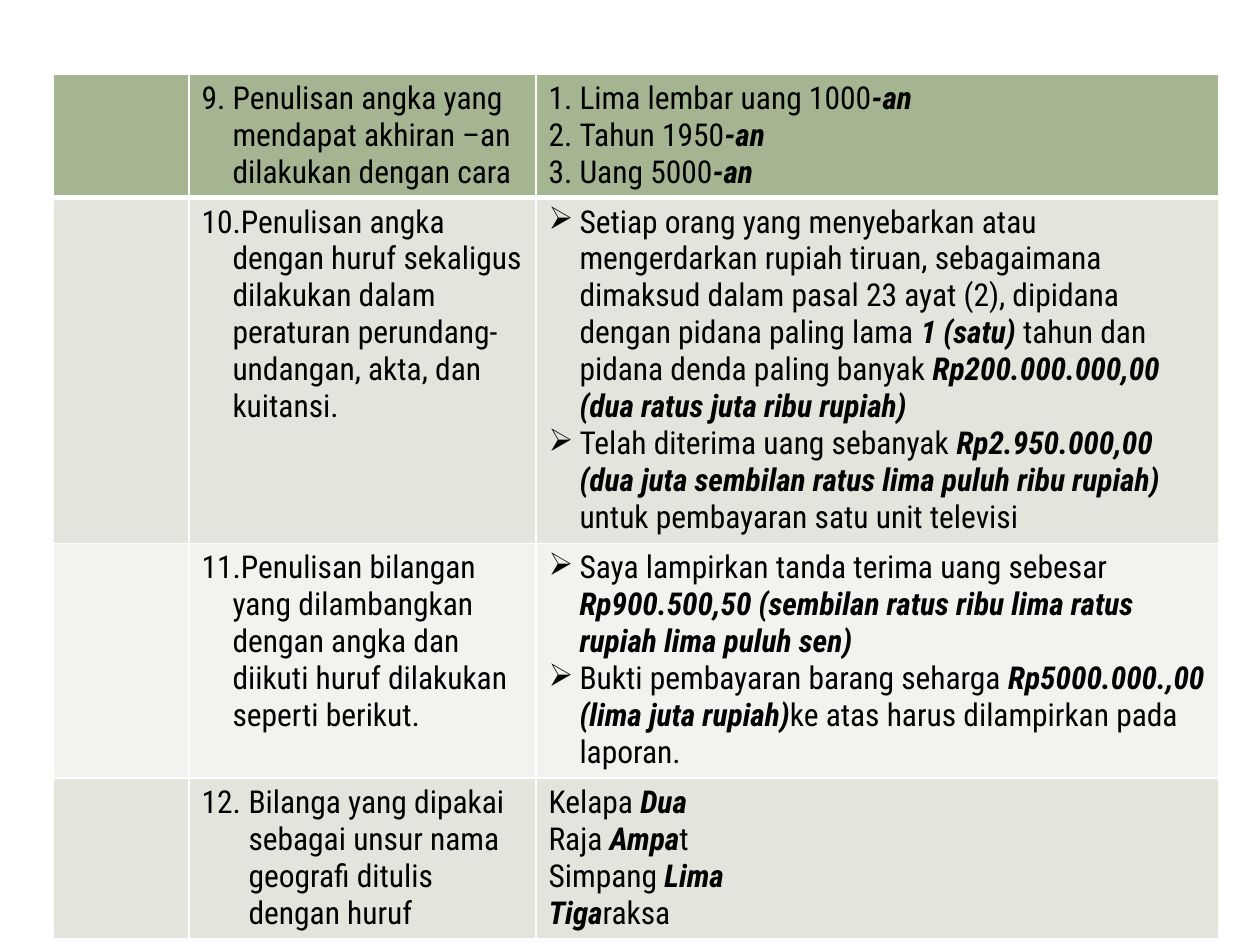
from lxml.etree import SubElement
from pptx import Presentation
from pptx.dml.color import RGBColor
from pptx.oxml.ns import qn
from pptx.util import Emu, Pt

FONT = "Roboto Condensed"
BLACK = RGBColor(0x00, 0x00, 0x00)
WHITE = RGBColor(0xFF, 0xFF, 0xFF)
GREEN = RGBColor(0xA5, 0xB5, 0x92)
SAGE = RGBColor(0xE1, 0xE5, 0xDC)
PALE = RGBColor(0xF0, 0xF3, 0xEE)

COLUMN_WIDTHS = [136, 347, 683]
ROW_HEIGHTS = [123, 346, 233, 160]
ROW_FILLS = [GREEN, SAGE, PALE, SAGE]
INDENT = 31
WIDE_INDENT = 47
ARROW = "➢"

RULES = [
    (["9. Penulisan angka yang mendapat akhiran –an dilakukan dengan cara"], None, INDENT),
    (["Penulisan angka dengan huruf sekaligus dilakukan dalam peraturan "
      "perundang-undangan, akta, dan kuitansi."], 10, INDENT),
    (["Penulisan bilangan yang dilambangkan dengan angka dan diikuti huruf "
      "dilakukan seperti berikut."], 11, INDENT),
    (["Bilanga yang dipakai sebagai unsur nama geografi ditulis dengan huruf"], 12, WIDE_INDENT),
]
EXAMPLES = [
    (["Lima lembar uang 1000*-an*", "Tahun 1950*-an*", "Uang 5000*-an*"], 1, INDENT),
    (["Setiap orang yang menyebarkan atau mengerdarkan rupiah tiruan, sebagaimana "
      "dimaksud dalam pasal 23 ayat (2), dipidana dengan pidana paling lama "
      "*1 (satu)* tahun dan pidana denda paling banyak "
      "*Rp200.000.000,00 (dua ratus juta ribu rupiah)*",
      "Telah diterima uang sebanyak "
      "*Rp2.950.000,00 (dua juta sembilan ratus lima puluh ribu rupiah)* "
      "untuk pembayaran satu unit televisi"], ARROW, INDENT),
    (["Saya lampirkan tanda terima uang sebesar "
      "*Rp900.500,50 (sembilan ratus ribu lima ratus rupiah lima puluh sen)*",
      "Bukti pembayaran barang seharga *Rp5000.000.,00 (lima juta rupiah)*"
      "ke atas harus dilampirkan pada laporan."], ARROW, INDENT),
    (["Kelapa *Dua*", "Raja *Ampa*t", "Simpang *Lima*", "*Tiga*raksa"], None, INDENT),
]


def px(length):
    """Turn pixels into EMU at 126 pixels to the inch."""
    return Emu(round(length * 914400 / 126))


def set_bullet(paragraph, bullet, indent):
    """Give a paragraph a hanging indent and a number, a character or no bullet."""
    properties = paragraph._p.get_or_add_pPr()
    properties.set("marL", str(px(indent)))
    properties.set("indent", str(-px(indent)))
    if bullet is None:
        SubElement(properties, qn("a:buNone"))
    elif isinstance(bullet, int):
        number = SubElement(properties, qn("a:buAutoNum"), type="arabicPeriod")
        if bullet > 1:
            number.set("startAt", str(bullet))
    else:
        SubElement(properties, qn("a:buChar"), char=bullet)


def write_cell(cell, texts, bullet, indent):
    """Write one paragraph per text, with starred parts in bold italics."""
    frame = cell.text_frame
    for index, text in enumerate(texts):
        paragraph = frame.add_paragraph() if index else frame.paragraphs[0]
        set_bullet(paragraph, bullet, indent)
        paragraph.font.name = FONT
        paragraph.font.size = Pt(18)
        paragraph.font.color.rgb = BLACK
        for position, part in enumerate(text.split("*")):
            if part:
                run = paragraph.add_run()
                run.text = part
                if position % 2:
                    run.font.bold = True
                    run.font.italic = True


def style_cell(cell, color, top_width, bottom_width):
    """Set the white borders and the fill of a cell."""
    properties = cell._tc.get_or_add_tcPr()
    widths = {"L": 1, "R": 1, "T": top_width, "B": bottom_width}
    for side, width in widths.items():
        line = SubElement(properties, qn(f"a:ln{side}"), w=str(Pt(width)))
        fill = SubElement(line, qn("a:solidFill"))
        SubElement(fill, qn("a:srgbClr"), val=str(WHITE))
    cell.fill.solid()
    cell.fill.fore_color.rgb = color


def add_rules_table(slide):
    """Add the table of number-writing rules and their examples."""
    shape = slide.shapes.add_table(
        len(ROW_HEIGHTS), len(COLUMN_WIDTHS), px(53), px(74),
        px(sum(COLUMN_WIDTHS)), px(sum(ROW_HEIGHTS)))
    table = shape.table
    table.first_row = False
    table.horz_banding = False
    for column, width in zip(table.columns, COLUMN_WIDTHS):
        column.width = px(width)
    for index, row in enumerate(table.rows):
        row.height = px(ROW_HEIGHTS[index])
        for cell in row.cells:
            style_cell(cell, ROW_FILLS[index],
                       3 if index == 1 else 1, 3 if index == 0 else 1)
        write_cell(row.cells[1], *RULES[index])
        write_cell(row.cells[2], *EXAMPLES[index])


def main():
    """Build the slide and save it."""
    presentation = Presentation()
    presentation.slide_width = px(1260)
    presentation.slide_height = px(945)
    slide = presentation.slides.add_slide(presentation.slide_layouts[6])
    add_rules_table(slide)
    presentation.save("out.pptx")


if __name__ == "__main__":
    main()
